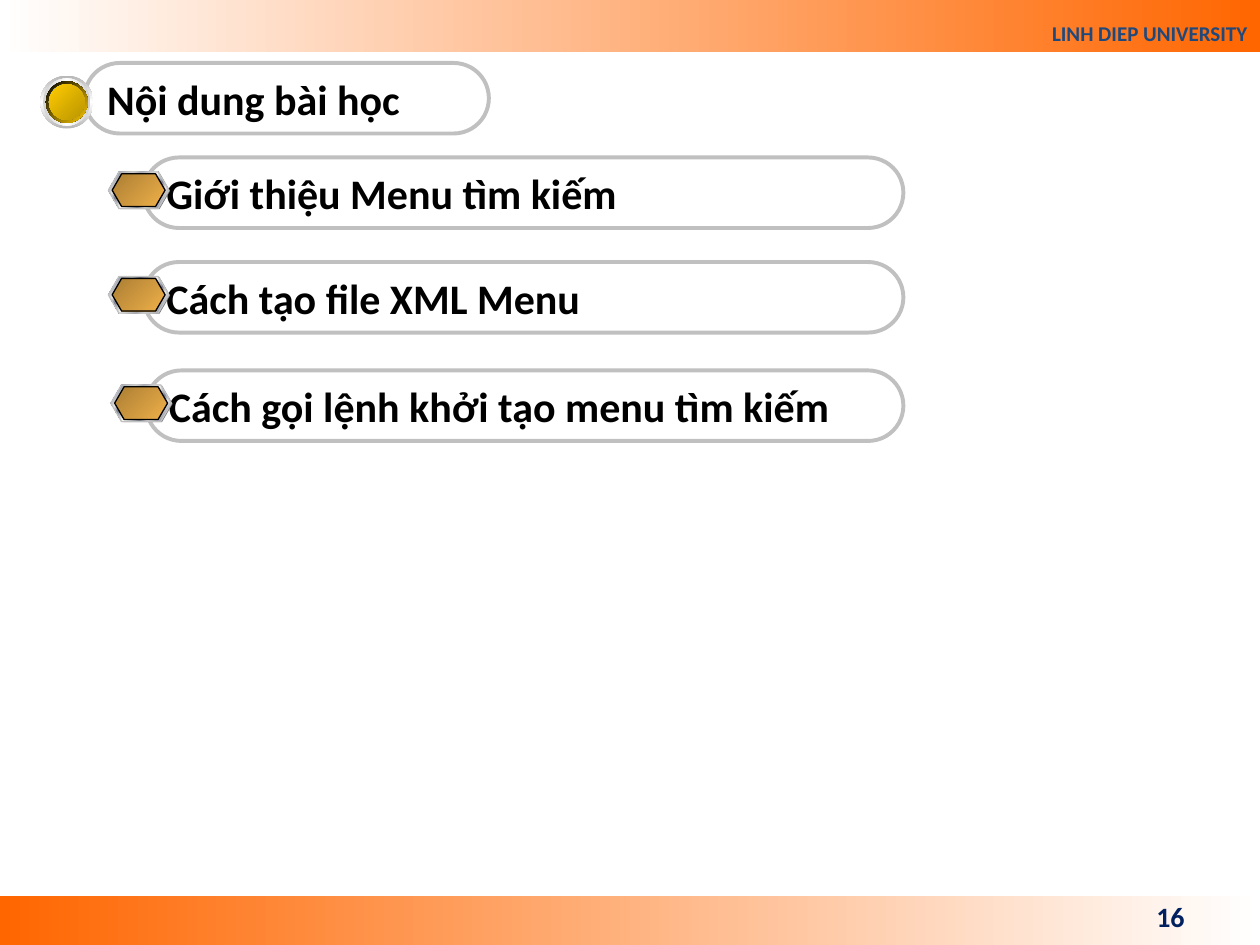
from pptx import Presentation
from pptx.dml.color import RGBColor
from pptx.enum.shapes import MSO_SHAPE
from pptx.enum.text import MSO_ANCHOR, MSO_AUTO_SIZE, PP_ALIGN
from pptx.oxml.ns import qn
from pptx.util import Inches, Pt
from lxml.etree import SubElement

COLORS = {
    "white": "FFFFFF", "black": "000000", "orange": "FF6600",
    "university": "1F497D", "number": "002060", "outline": "C0C0C0",
    "shade": "808080", "rim": "B6B6B6", "inner_rim": "D1D1D1",
    "sky": "6699FF", "deep_sky": "4E75C3", "gold": "FFCC00",
    "dark_gold": "BA9500", "bronze": "AB7E34", "amber": "EFB049",
    "chrome": "E6E6E6", "steel": "7D8496",
}
BAR = [(0, "white"), (100, "orange")]
CHROME = [(0, "chrome"), (7, "steel"), (26, "chrome"), (34, "steel"),
          (46, "chrome"), (50, "white"), (54, "chrome"), (66, "steel"),
          (74, "chrome"), (93, "steel"), (100, "chrome")]
# Each ring: inset from the outer circle, outer colour, middle, end, angle
BALL_RINGS = [
    (0, ["rim", "white", "rim"], 90),
    (0.23, ["inner_rim", "white", "inner_rim"], 0),
    (0.44, ["white", "sky", "white"], 45),
    (0.44, ["black", "gold"], 45),
    (0.68, ["deep_sky", "sky", "deep_sky"], 315),
    (0.68, ["gold", "dark_gold"], 45),
]
# Pill left, pill top, text
TOPICS = [
    (11.4, 12.5, "Giới thiệu Menu tìm kiếm"),
    (11.4, 20.8, "Cách tạo file XML Menu"),
    (11.6, 29.4, "Cách gọi lệnh khởi tạo menu tìm kiếm"),
]
TOPIC_RIGHT = 71.7
PILL_ROWS = 5.6


class SlideBuilder:
    """Places elements on a grid of 100 columns by 75 rows."""
    font = "Calibri"
    cell = Inches(0.1)

    def __init__(self, prs):
        self.slide = prs.slides.add_slide(prs.slide_layouts[6])

    def color(self, name):
        return RGBColor.from_string(COLORS[name])

    def box(self, *cells):
        return [round(value * self.cell) for value in cells]

    def group(self):
        return self.slide.shapes.add_group_shape().shapes

    def shape(self, kind, box, fill=None, angle=0, line=None, parent=None):
        """fill is a colour name or a list of (percent, colour name) stops."""
        shapes = self.slide.shapes if parent is None else parent
        shape = shapes.add_shape(kind, *self.box(*box))
        shape.shadow.inherit = False
        if fill is None:
            shape.fill.background()
        elif isinstance(fill, str):
            shape.fill.solid()
            shape.fill.fore_color.rgb = self.color(fill)
        else:
            self.gradient(shape, fill, angle)
        if line is None:
            shape.line.fill.background()
        else:
            name, width = line
            shape.line.color.rgb = self.color(name)
            shape.line.width = Pt(width)
        return shape

    def gradient(self, shape, stops, angle):
        shape.fill.gradient()
        shape.fill.gradient_angle = (360 - angle) % 360
        stop_list = shape.fill._xPr.find(qn("a:gradFill")).find(qn("a:gsLst"))
        stop_list.clear()
        for percent, name in stops:
            stop = SubElement(stop_list, qn("a:gs"), pos=str(percent * 1000))
            SubElement(stop, qn("a:srgbClr"), val=COLORS[name])

    def text(self, shape, words, size, color, align=PP_ALIGN.LEFT,
             anchor=MSO_ANCHOR.MIDDLE, wrap=True):
        frame = shape.text_frame
        frame.word_wrap = wrap
        frame.vertical_anchor = anchor
        paragraph = frame.paragraphs[0]
        paragraph.alignment = align
        run = paragraph.add_run()
        run.text = words
        run.font.name = self.font
        run.font.size = Pt(size)
        run.font.bold = True
        run.font.color.rgb = self.color(color)
        return frame

    def header(self, words):
        bar = self.shape(MSO_SHAPE.RECTANGLE, (0, -0.1, 100, 4.2), BAR)
        frame = self.text(bar, words, 12, "university", PP_ALIGN.RIGHT,
                          MSO_ANCHOR.BOTTOM)
        frame.paragraphs[0].line_spacing = 1.8
        frame.auto_size = MSO_AUTO_SIZE.SHAPE_TO_FIT_TEXT

    def footer(self, number):
        self.shape(MSO_SHAPE.RECTANGLE, (0, 71.1, 100, 3.9),
                   [(0, "orange"), (100, "white")])
        number_box = self.slide.shapes.add_textbox(
            *self.box(71.7, 70.7, 23.3, 4))
        self.text(number_box, number, 16, "number", PP_ALIGN.RIGHT)

    def pill(self, left, top, columns, words, parent=None):
        pill = self.shape(MSO_SHAPE.ROUNDED_RECTANGLE,
                          (left, top, columns, PILL_ROWS),
                          line=("outline", 2.25), parent=parent)
        pill.adjustments[0] = 0.5
        self.text(pill, words, 24, "black", wrap=False)

    def ball(self, left, top, size):
        rings = self.group()
        for inset, names, angle in BALL_RINGS:
            step = 100 // (len(names) - 1)
            stops = [(i * step, name) for i, name in enumerate(names)]
            side = size - 2 * inset
            self.shape(MSO_SHAPE.OVAL, (left + inset, top + inset, side, side),
                       stops, angle, parent=rings)

    def topic(self, left, top, words):
        """A pill with a layered hexagon bullet over its left end."""
        parts = self.group()
        self.pill(left, top, TOPIC_RIGHT - left, words, parts)
        layers = [
            (-2.7, 1.2, 4.8, 2.9, "shade", None),
            (-2.8, 1.15, 4.8, 2.9, CHROME, ("outline", 0.75)),
            (-2.5, 1.3, 4.2, 2.6, [(0, "bronze"), (100, "amber")],
             ("black", 0.75)),
        ]
        for dx, dy, columns, rows, fill, line in layers:
            hexagon = self.shape(MSO_SHAPE.HEXAGON,
                                 (left + dx, top + dy, columns, rows),
                                 fill, 45, line, parts)
            hexagon.adjustments[0] = 0.29


def main():
    prs = Presentation()
    prs.slide_width, prs.slide_height = Inches(10), Inches(7.5)
    builder = SlideBuilder(prs)
    builder.header("LINH DIEP UNIVERSITY")
    builder.footer("16")
    builder.pill(6.7, 5, 32.1, "Nội dung bài học")
    builder.ball(3.2, 6, 4.2)
    for left, top, words in TOPICS:
        builder.topic(left, top, words)
    prs.save("out.pptx")


if __name__ == "__main__":
    main()
